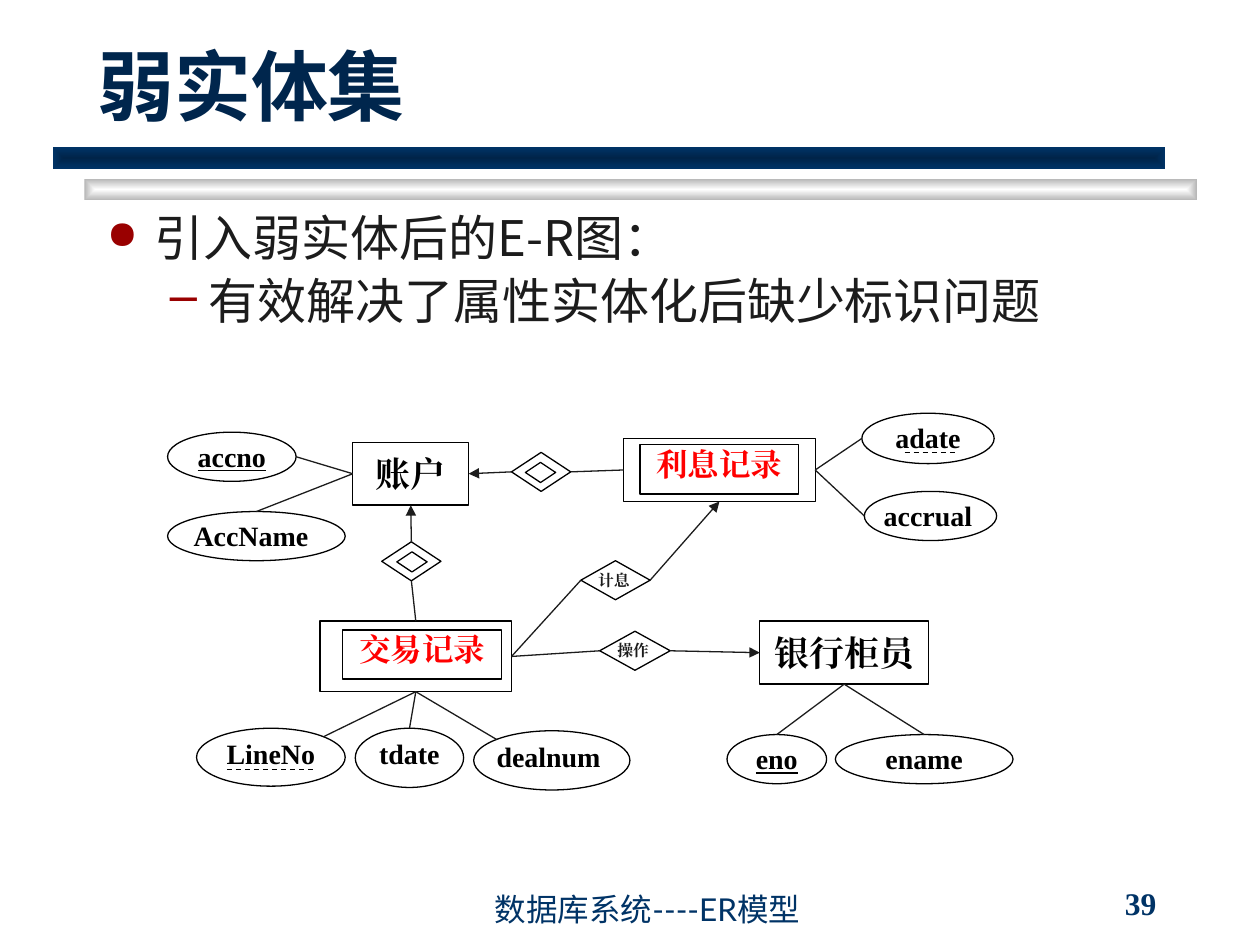
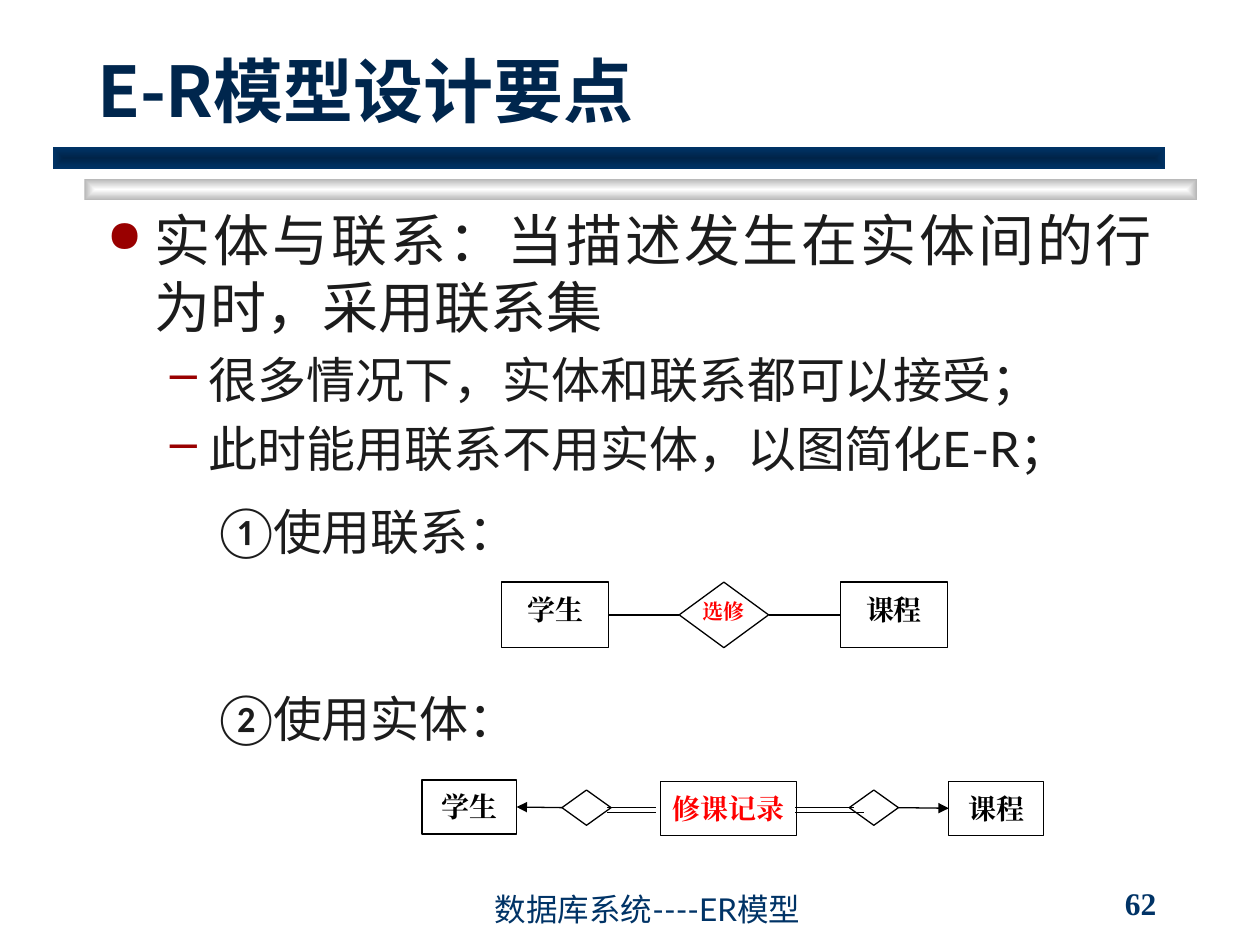
"""Build two slides on weak entity sets and E-R design."""
from dataclasses import dataclass

from lxml import etree
from pptx import Presentation
from pptx.dml.color import RGBColor
from pptx.enum.dml import MSO_LINE
from pptx.enum.shapes import MSO_CONNECTOR, MSO_SHAPE
from pptx.enum.text import MSO_ANCHOR, MSO_AUTO_SIZE, PP_ALIGN
from pptx.oxml.ns import qn
from pptx.util import Cm, Pt

RECT, OVAL = MSO_SHAPE.RECTANGLE, MSO_SHAPE.OVAL
RHOMB = MSO_SHAPE.FLOWCHART_DECISION
LEFT, MID, JUST = PP_ALIGN.LEFT, PP_ALIGN.CENTER, PP_ALIGN.JUSTIFY
TOP, HALF, BASE = MSO_ANCHOR.TOP, MSO_ANCHOR.MIDDLE, MSO_ANCHOR.BOTTOM
DASH, LINE = MSO_LINE.DASH, MSO_CONNECTOR.STRAIGHT
NO_FIT = MSO_AUTO_SIZE.NONE
UNIT = 2.54


@dataclass(frozen=True)
class Theme:
    """Colours, fonts and type sizes."""
    title: str = "00264D"
    navy: str = "003366"
    deep: str = "002449"
    grey: str = "B6B6B6"
    white: str = "FFFFFF"
    ink: str = "1C1C1C"
    black: str = "000000"
    red: str = "FF0000"
    mark: str = "990000"
    sans: str = "Lato"
    han: str = "Noto Sans CJK SC"
    kanji: str = "Noto Sans CJK JP"
    serif: str = "Times New Roman"
    big: int = 32
    body: int = 28
    foot: int = 18
    thin: float = 0.75


T = Theme()
BARS = [((0.67, 1.42, 8.83, 0.17), T.white, T.grey),
        ((0.42, 1.17, 8.83, 0.17), T.deep, T.navy)]
FOOT = "数据库系统----ER模型"
INSET = (0.1, 0.05, 0.1, 0.05)
PLAIN = (0, 0, 0, 0)
CELL = (0, 0.08, 0, 0.05)
INNER = (0, 0, 0, 0.05)

# style: size, colour, align, inset, underline
STYLES = {
    "": (16, T.black, MID, PLAIN, False),
    "attr": (16, T.black, MID, PLAIN, False),
    "side": (16, T.black, LEFT, PLAIN, False),
    "key": (16, T.black, MID, PLAIN, True),
    "main": (20, T.black, MID, CELL, False),
    "weak": (18, T.red, MID, INNER, False),
    "verb": (9, T.ink, LEFT, PLAIN, False),
    "just": (9, T.ink, JUST, PLAIN, False),
    "box": (16, T.black, MID, CELL, False),
    "new": (16, T.red, MID, CELL, False),
    "act": (12, T.red, MID, PLAIN, False),
}
SIDES = {"T": (0.5, 0), "B": (0.5, 1), "L": (0, 0.5), "R": (1, 0.5),
         "TL": (0.146, 0.146), "TR": (0.854, 0.146)}
LEVELS = {"dot": (0, 0.38, -0.38, "●", 80), "dash": (1, 0.81, -0.31, "–", 100),
          "none": (1, 0.5, 0, "", 100)}

SLIDES = [
    {
        "title": ("弱实体集", 44, T.sans), "page": "39",
        "texts": [((0.75, 1.65, 8.5, 1.39), T.kanji, JUST, 0.9, [
            ("引入弱实体后的E-R图：", "dot", T.body, 0),
            ("有效解决了属性实体化后缺少标识问题", "dash", T.body, 5.6)])],
        "nodes": {
            "fee": (RECT, (4.95, 3.48, 1.52, 0.5), "", ""),
            "deal": (RECT, (2.54, 4.93, 1.52, 0.56), "", ""),
            "acct": (RECT, (2.8, 3.51, 0.92, 0.5), "账户", "main"),
            "accno": (OVAL, (1.33, 3.43, 1.02, 0.39), "accno", "key"),
            "name": (OVAL, (1.33, 4.06, 1.41, 0.39), "AccName", "side"),
            "tdate": (OVAL, (2.82, 5.78, 0.86, 0.47), "tdate", "attr"),
            "num": (OVAL, (3.76, 5.8, 1.24, 0.47), "dealnum", "side"),
            "line": (OVAL, (1.56, 5.78, 1.18, 0.46), "LineNo", "attr"),
            "adate": (OVAL, (6.84, 3.28, 1.05, 0.4), "adate", "attr"),
            "gain": (OVAL, (6.86, 3.9, 1.05, 0.39), "accrual", "side"),
            "clerk": (RECT, (6.03, 4.93, 1.34, 0.5), "银行柜员", "main"),
            "eno": (OVAL, (5.77, 5.83, 0.79, 0.39), "eno", "key"),
            "ename": (OVAL, (6.63, 5.83, 1.41, 0.39), "ename", "attr"),
            "deal in": (RECT, (2.72, 5, 1.26, 0.39), "交易记录", "weak"),
            "down": (RHOMB, (3.03, 4.3, 0.47, 0.31), "", ""),
            "down in": (RHOMB, (3.15, 4.38, 0.24, 0.16), "", ""),
            "right": (RHOMB, (4.06, 3.59, 0.47, 0.31), "", ""),
            "right in": (RHOMB, (4.17, 3.67, 0.24, 0.16), "", ""),
            "run": (RHOMB, (4.76, 5.01, 0.56, 0.31), "操作", "verb"),
            "count": (RHOMB, (4.61, 4.45, 0.55, 0.31), "计息", "just"),
            "fee in": (RECT, (5.08, 3.53, 1.26, 0.39), "利息记录", "weak"),
        },
        "ink": T.ink,
        "links": [
            ("count", "R", "fee", "B", True), ("clerk", "B", "ename", "T", False),
            ("run", "R", "clerk", "L", True), ("acct", "L", "accno", "R", False),
            ("acct", "L", "name", "T", False), ("down", "T", "acct", "B", True),
            ("fee", "L", "right", "R", False), ("right", "L", "acct", "R", True),
            ("deal", "T", "down", "B", False), ("clerk", "B", "eno", "T", False),
            ("num", "TL", "deal", "B", False), ("deal", "B", "tdate", "T", False),
            ("deal", "B", "line", "TR", False), ("fee", "R", "adate", "L", False),
            ("run", "L", "deal", "R", False), ("count", "L", "deal", "R", False),
            ("fee", "R", "gain", "L", False)],
        "rules": [((1.8, 6.11), (2.51, 6.11), DASH),
                  ((7.18, 3.59), (7.58, 3.59), DASH)],
    },
    {
        "title": ("E-R模型设计要点", 40, T.han), "page": "62",
        "texts": [
            ((0.75, 1.58, 8.5, 2.33), T.sans, JUST, 1, [
                ("实体与联系：当描述发生在实体间的行为时，采用联系集", "dot", T.big, 0),
                ("很多情况下，实体和联系都可以接受；", "dash", T.body, 5.6),
                ("此时能用联系不用实体，以图简化E-R；", "dash", T.body, 5.6)]),
            ((1.14, 3.98, 7.8, 2.08), T.sans, LEFT, 0.9, [
                ("①使用联系：", "none", T.body, 0),
                ("②使用实体：", "none", T.body, 77)])],
        "nodes": {
            "pupil": (RECT, (3.98, 4.62, 0.85, 0.52), "学生", "box"),
            "course": (RECT, (6.67, 4.62, 0.85, 0.52), "课程", "box"),
            "take": (RHOMB, (5.39, 4.62, 0.71, 0.52), "选修", "act"),
            "pupil 2": (RECT, (3.35, 6.19, 0.75, 0.43), "学生", "box"),
            "left": (RHOMB, (4.46, 6.27, 0.39, 0.28), "", ""),
            "log": (RECT, (5.24, 6.2, 1.08, 0.43), "修课记录", "new"),
            "course 2": (RECT, (7.53, 6.2, 0.75, 0.43), "课程", "box"),
            "right": (RHOMB, (6.74, 6.27, 0.39, 0.28), "", ""),
        },
        "ink": T.black,
        "links": [
            ("pupil", "R", "take", "L", False), ("take", "R", "course", "L", False),
            ("left", "L", "pupil 2", "R", True),
            ("right", "R", "course 2", "L", True)],
        "rules": [((a, y), (b, y), None) for a, b, y in (
            (4.82, 5.21, 6.41), (4.82, 5.21, 6.45),
            (6.31, 6.78, 6.41), (6.31, 6.86, 6.45))],
    },
]


def cm(val):
    """Turn a grid length into Cm."""
    return Cm(val * UNIT)


def rgb(code):
    """Give the colour of a hex code."""
    return RGBColor.from_string(code)


def sub(node, tag, **attrs):
    """Add a child element."""
    return etree.SubElement(node, qn(tag), attrs)


def add_run(para, text, size, face, tone, bold=False, under=False, east=None):
    """Add one run with its font."""
    run = para.add_run()
    run.text = text
    font = run.font
    font.size, font.bold, font.name = Pt(size), bold, face
    font.color.rgb = rgb(tone)
    if under:
        font.underline = True
    sub(font._element, "a:ea", typeface=east or face)


def set_frame(shape, inset, anchor=TOP, wrap=True):
    """Set insets, anchor and wrap, and return the frame."""
    frame = shape.text_frame
    frame.auto_size, frame.word_wrap = NO_FIT, wrap
    frame.vertical_anchor = anchor
    (frame.margin_left, frame.margin_top,
     frame.margin_right, frame.margin_bottom) = map(cm, inset)
    return frame


def add_box(slide, box, anchor=TOP, wrap=True):
    """Add a text box and return its frame."""
    return set_frame(slide.shapes.add_textbox(*map(cm, box)), INSET, anchor, wrap)


def add_bar(slide, box, core, edge):
    """Add a band that shades from core to edge."""
    bar = slide.shapes.add_shape(RECT, *map(cm, box))
    bar.shadow.inherit = False
    bar.line.fill.background()
    bar.fill.gradient()
    for stop, tone in zip(bar.fill.gradient_stops, (core, edge)):
        stop.color.rgb = rgb(tone)
    grad = bar._element.spPr.find(qn("a:gradFill"))
    grad.remove(grad.find(qn("a:lin")))
    fade = sub(grad, "a:path", path="shape")
    sub(fade, "a:fillToRect", **dict.fromkeys("ltrb", "50000"))


def add_frame(slide, title, page):
    """Add the bands, title, page number and footer."""
    for bar in BARS:
        add_bar(slide, *bar)
    head = slide.shapes.title
    head.left, head.top, head.width, head.height = map(cm, (0.67, 0.42, 8.5, 0.67))
    para = set_frame(head, INSET, BASE).paragraphs[0]
    para.alignment = LEFT
    text, size, face = title
    add_run(para, text, size, face, T.title, True, east=T.sans)
    num = add_box(slide, (8.83, 7, 1.08, 0.33), HALF, False)
    add_run(num.paragraphs[0], page, T.foot, T.serif, T.navy, True)
    foot = add_box(slide, (3.83, 7.08, 4.08, 0.33), BASE)
    add_run(foot.paragraphs[0], FOOT, T.foot, T.sans, T.navy)


def add_list(slide, box, face, align, space, items):
    """Add a text box of levelled lines."""
    frame = add_box(slide, box)
    for i, (text, kind, size, gap) in enumerate(items):
        para = frame.add_paragraph() if i else frame.paragraphs[0]
        depth, left, hang, mark, scale = LEVELS[kind]
        props = para._p.get_or_add_pPr()
        props.set("marL", str(cm(left)))
        props.set("indent", str(cm(hang)))
        if mark:
            sub(sub(props, "a:buClr"), "a:srgbClr", val=T.mark)
            sub(props, "a:buSzPct", val=str(scale * 1000))
            sub(props, "a:buChar", char=mark)
        else:
            sub(props, "a:buNone")
        para.level, para.alignment, para.line_spacing = depth, align, space
        para.space_before = Pt(gap)
        add_run(para, text, size, face, T.ink, east=T.sans)


def add_node(slide, kind, box, text, style):
    """Add an outlined shape with its label."""
    node = slide.shapes.add_shape(kind, *map(cm, box))
    node.shadow.inherit = False
    node.fill.solid()
    node.fill.fore_color.rgb = rgb(T.white)
    node.line.color.rgb = rgb(T.black)
    node.line.width = Pt(T.thin)
    size, tone, align, inset, under = STYLES[style]
    para = set_frame(node, inset).paragraphs[0]
    para.alignment = align
    if text:
        add_run(para, text, size, T.serif, tone, True, under)


def add_line(slide, start, end, tone, arrow=False, dash=None):
    """Add a straight line, with an arrow at its end if asked."""
    wire = slide.shapes.add_connector(LINE, *map(cm, start + end))
    wire.line.color.rgb = rgb(tone)
    wire.line.width = Pt(T.thin)
    if dash:
        wire.line.dash_style = dash
    if arrow:
        sub(wire.line._get_or_add_ln(), "a:tailEnd", type="triangle")
    sub(wire._element.spPr, "a:effectLst")


def spot(node, side):
    """Find the point on one side of a node."""
    x, y, wide, high = node[1]
    across, down = SIDES[side]
    return x + wide * across, y + high * down


def main():
    """Build and save the deck."""
    deck = Presentation()
    deck.slide_width, deck.slide_height = cm(10), cm(7.5)
    for data in SLIDES:
        slide = deck.slides.add_slide(deck.slide_layouts[5])
        add_frame(slide, data["title"], data["page"])
        for text in data["texts"]:
            add_list(slide, *text)
        nodes = data["nodes"]
        for node in nodes.values():
            add_node(slide, *node)
        for a, out, b, into, arrow in data["links"]:
            add_line(slide, spot(nodes[a], out), spot(nodes[b], into),
                     data["ink"], arrow)
        for start, end, dash in data["rules"]:
            add_line(slide, start, end, T.black, dash=dash)
    deck.save("out.pptx")


if __name__ == "__main__":
    main()
